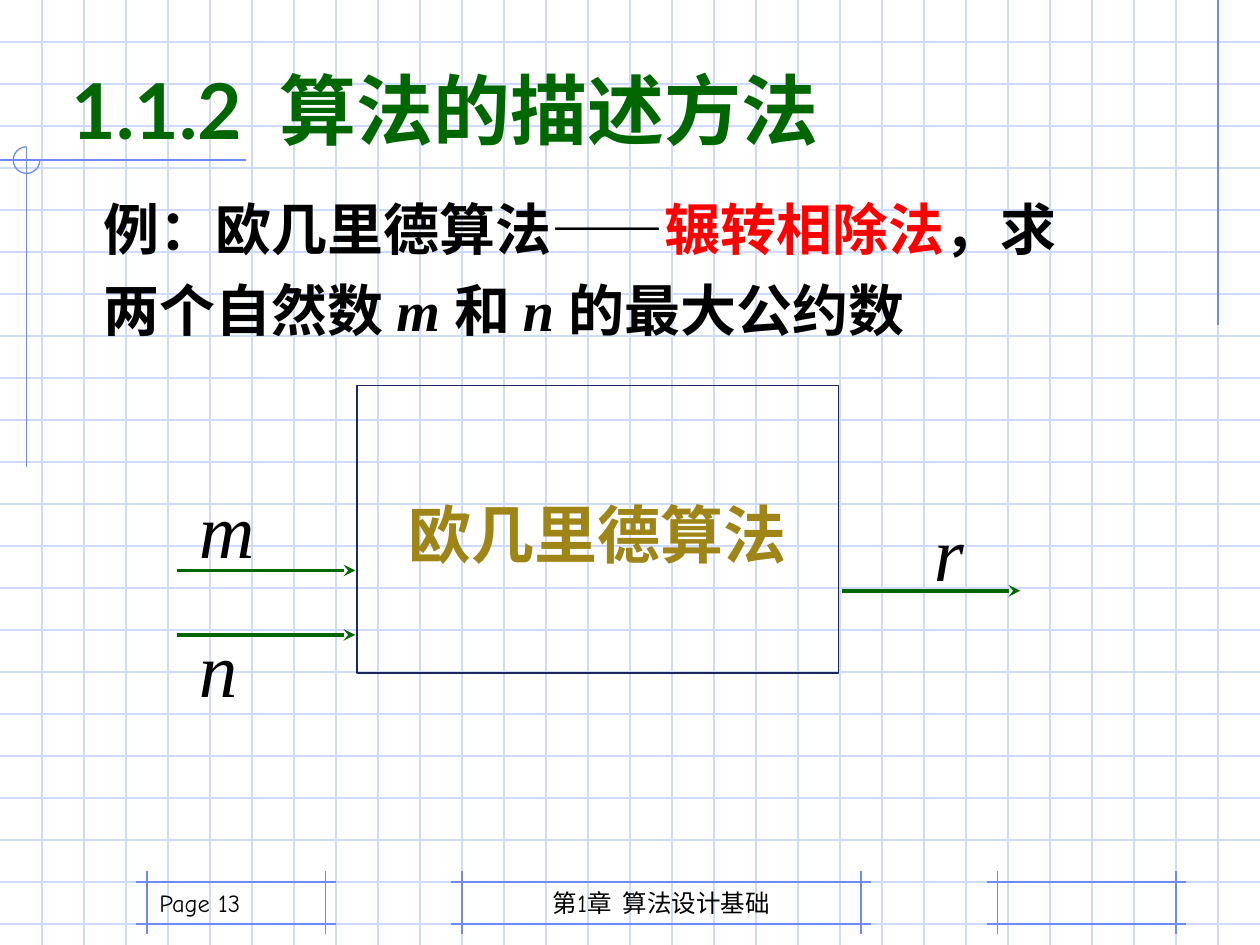
from dataclasses import dataclass

from lxml import etree
from pptx import Presentation
from pptx.dml.color import RGBColor
from pptx.enum.shapes import MSO_CONNECTOR, MSO_SHAPE
from pptx.enum.text import MSO_ANCHOR, PP_ALIGN
from pptx.oxml.ns import qn
from pptx.util import Pt

LINE = MSO_CONNECTOR.STRAIGHT
RECT, ARC = MSO_SHAPE.RECTANGLE, MSO_SHAPE.ARC
TOP, MID, LOW = MSO_ANCHOR.TOP, MSO_ANCHOR.MIDDLE, MSO_ANCHOR.BOTTOM
LEFT, MIDST = PP_ALIGN.LEFT, PP_ALIGN.CENTER


@dataclass(frozen=True)
class Theme:
    """Colours, fonts and sizes of the slide."""
    grid: str = "CFDBFD"
    rule: str = "6F89F7"
    edge: str = "1B285F"
    green: str = "006600"
    gold: str = "9F8518"
    red: str = "FF0000"
    black: str = "000000"
    head: str = "Lato"
    body: str = "Arial"
    math: str = "Times New Roman"
    note: str = "Comic Neue"
    big: int = 44
    label: int = 36
    text: int = 32
    small: int = 14
    thin: float = 0.75
    thick: float = 2.25


THEME = Theme()


def add_line(slide, start, end, color, width=THEME.thin):
    """Draw a plain straight line between two points."""
    line = slide.shapes.add_connector(LINE, *map(Pt, start + end))
    line.line.color.rgb = RGBColor.from_string(color)
    line.line.width = Pt(width)
    etree.SubElement(line._element.spPr, qn("a:effectLst"))
    return line


def add_arrow(slide, start, end):
    """Draw a green arrow with a stealth head."""
    line = add_line(slide, start, end, THEME.green, THEME.thick)
    etree.SubElement(line.line._get_or_add_ln(), qn("a:tailEnd"), type="stealth")


def style(run, font, size, color, bold=False, italic=False):
    """Set the look of one run."""
    face = run.font
    face.name, face.size = font, Pt(size)
    face.bold, face.italic = bold, italic
    face.color.rgb = RGBColor.from_string(color)


def add_text(slide, box, text, font, size, color, bold=False, italic=False,
             align=LEFT, anchor=TOP):
    """Place a one-run text box."""
    frame = slide.shapes.add_textbox(*map(Pt, box)).text_frame
    frame.word_wrap = True
    frame.vertical_anchor = anchor
    frame.text = text
    para = frame.paragraphs[0]
    para.alignment = align
    style(para.runs[0], font, size, color, bold, italic)


def draw_grid(slide, box, step=24):
    """Rule the box into squares."""
    x, y, w, h = box
    for dy in range(step, h, step):
        add_line(slide, (x, y + dy), (x + w, y + dy), THEME.grid)
    for dx in range(step, w, step):
        add_line(slide, (x + dx, y), (x + dx, y + h), THEME.grid)


def draw_frame(slide, box, over=6):
    """Draw a frame whose lines cross at the corners."""
    x, y, w, h = box
    for row in (y, y + h):
        add_line(slide, (x - over, row), (x + w + over, row), THEME.rule)
    for col in (x, x + w):
        add_line(slide, (col, y - over), (col, y + h + over), THEME.rule)


def draw_trim(slide, box):
    """Draw the margin lines and the corner arc."""
    x, y, w, h = box
    cx, cy, rad = x + 15.2, y + 91.5, 7.6
    add_line(slide, (x + w - 24, y), (x + w - 24, y + 186), THEME.rule)
    add_line(slide, (x + 140.4, cy), (x, cy), THEME.rule)
    add_line(slide, (cx, cy - rad), (cx, y + 267), THEME.rule)
    arc = slide.shapes.add_shape(
        ARC, Pt(cx - rad), Pt(cy - rad), Pt(2 * rad), Pt(2 * rad))
    arc.adjustments[0], arc.adjustments[1] = 0, 162
    arc.shadow.inherit = False
    arc.fill.background()
    arc.line.color.rgb = RGBColor.from_string(THEME.rule)
    arc.line.width = Pt(THEME.thin)


def draw_foot(slide, box):
    """Draw the three footer frames and their text."""
    x, y, w, h = box
    for dx, wide in ((180, 228), (486, 102), (0, 102)):
        draw_frame(slide, (x + dx, y + 12, wide, h - 12))
    look = (THEME.note, THEME.small, THEME.black)
    add_text(slide, (x + 180, y, 228, h), "第1章  算法设计基础", *look,
             align=MIDST, anchor=LOW)
    add_text(slide, (x, y, 150, h), "Page 13", *look, anchor=LOW)


def draw_lead(slide, box):
    """Write the example with its marked words."""
    frame = slide.shapes.add_textbox(*map(Pt, box)).text_frame
    frame.word_wrap = True
    para = frame.paragraphs[0]
    para.line_spacing = 1.2
    parts = (
        ("例：欧几里德算法——", THEME.black, False),
        ("辗转相除法", THEME.red, False),
        ("，求两个自然数 ", THEME.black, False),
        ("m ", THEME.black, True),
        ("和 ", THEME.black, False),
        ("n ", THEME.black, True),
        ("的最大公约数", THEME.black, False),
    )
    for text, color, var in parts:
        run = para.add_run()
        run.text = text
        font = THEME.math if var else THEME.body
        style(run, font, THEME.text, color, True, var)


def draw_flow(slide, box):
    """Draw the algorithm box with its inputs and output."""
    x, y, w, h = box
    rect = slide.shapes.add_shape(RECT, *map(Pt, box))
    rect.shadow.inherit = False
    rect.fill.background()
    rect.line.color.rgb = RGBColor.from_string(THEME.edge)
    rect.line.width = Pt(THEME.thin)
    frame = rect.text_frame
    frame.vertical_anchor = MID
    frame.margin_top = Pt(8)
    frame.text = "欧几里德算法"
    para = frame.paragraphs[0]
    para.alignment = MIDST
    style(para.runs[0], THEME.head, THEME.label, THEME.gold, True)
    ports = (
        ("m", -103, 105.8, 5.5, -54.5),
        ("n", -103, 142.6, 5.5, -12),
        ("r", w + 2, 117.4, 45.5, -53),
    )
    for name, dx, dy, tx, ty in ports:
        px, py = x + dx, y + dy
        add_arrow(slide, (px, py), (px + 102, py))
        add_text(slide, (px + tx, py + ty, 57, 60.5), name,
                 THEME.math, THEME.big, THEME.black, italic=True)


def main():
    """Build and save the slide."""
    deck = Presentation()
    deck.slide_width, deck.slide_height = Pt(720), Pt(540)
    slide = deck.slides.add_slide(deck.slide_layouts[6])
    page = (0, 0, 720, 540)
    draw_grid(slide, page)
    draw_trim(slide, page)
    draw_foot(slide, (84, 492, 588, 36))
    draw_flow(slide, (204, 220.2, 275, 164.4))
    draw_lead(slide, (52, 100, 572.4, 99.4))
    add_text(slide, (34, 32.4, 512, 60.5), "1.1.2  算法的描述方法",
             THEME.head, THEME.big, THEME.green, bold=True)
    deck.save("out.pptx")


if __name__ == "__main__":
    main()
